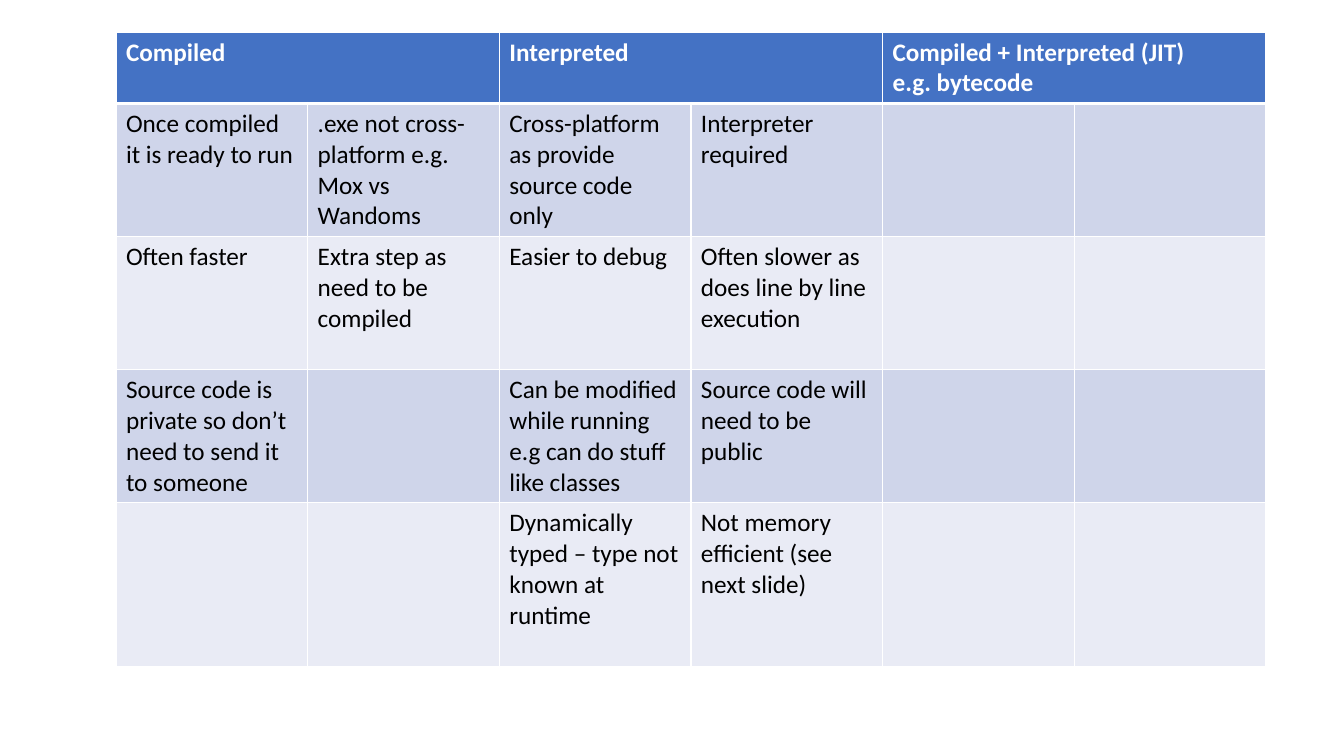
from dataclasses import dataclass
from lxml import etree
from pptx import Presentation
from pptx.dml.color import RGBColor
from pptx.oxml.ns import qn
from pptx.util import Pt

SCALE = 914400 / 100.8


@dataclass(frozen=True)
class Theme:
    """Colours, type and line widths of the slide."""
    font: str = "Calibri"
    size: int = 18
    head: str = "4472C4"
    bands: tuple = ("CFD5EA", "E9EBF5")
    light: str = "FFFFFF"
    dark: str = "000000"
    thin: int = 1
    thick: int = 3


THEME = Theme()
HEADS = [["Compiled"], ["Interpreted"],
         ["Compiled + Interpreted (JIT) ", "e.g. bytecode"]]
ROWS = [
    ["Once compiled it is ready to run",
     ".exe not cross-platform e.g. Mox vs Wandoms",
     "Cross-platform as provide source code only ",
     "Interpreter required", "", ""],
    ["Often faster", "Extra step as need to be compiled",
     "Easier to debug ",
     "Often slower as does line by line execution", "", ""],
    ["Source code is private so don’t need to send it to someone", "",
     "Can be modified while running e.g can do stuff like classes",
     "Source code will need to be public ", "", ""],
    ["", "", "Dynamically typed – type not known at runtime",
     "Not memory efficient (see next slide)", "", ""],
]
HIGHS = [71, 133, 133, 133, 164]


def px(num):
    """Turn pixels into EMU."""
    return round(num * SCALE)


def edge(cell, widths):
    """Draw the left, right, top and bottom borders of a cell."""
    props = cell._tc.get_or_add_tcPr()
    for spot, (side, width) in enumerate(zip("LRTB", widths)):
        line = etree.Element(qn(f"a:ln{side}"), w=str(Pt(width)))
        fill = etree.SubElement(line, qn("a:solidFill"))
        etree.SubElement(fill, qn("a:srgbClr"), val=THEME.light)
        props.insert(spot, line)


def paint(cell, fill, top, base):
    """Fill a cell and border it."""
    cell.fill.solid()
    cell.fill.fore_color.rgb = RGBColor.from_string(fill)
    edge(cell, (THEME.thin, THEME.thin, top, base))


def write(cell, lines, color, bold):
    """Write lines of text into a cell, one paragraph each."""
    frame = cell.text_frame
    for spot, text in enumerate(lines):
        para = frame.add_paragraph() if spot else frame.paragraphs[0]
        para.font.size = Pt(THEME.size)
        if text:
            run = para.add_run()
            run.text = text
            run.font.name = THEME.font
            run.font.size = Pt(THEME.size)
            run.font.bold = bold
            run.font.color.rgb = RGBColor.from_string(color)


def grid(slide, left, top, width, highs):
    """Place the comparison table in its box."""
    count = len(ROWS[0])
    table = slide.shapes.add_table(
        len(highs), count, px(left), px(top), px(width), px(sum(highs))).table
    for col in table.columns:
        col.width = px(width / count)
    for row, high in zip(table.rows, highs):
        row.height = px(high)
    for col in range(count):
        paint(table.cell(0, col), THEME.head, THEME.thin, THEME.thick)
    span = count // len(HEADS)
    for spot, lines in enumerate(HEADS):
        cell = table.cell(0, spot * span)
        cell.merge(table.cell(0, spot * span + span - 1))
        write(cell, lines, THEME.light, True)
    for row, texts in enumerate(ROWS, 1):
        band = THEME.bands[(row - 1) % 2]
        upper = THEME.thick if row == 1 else THEME.thin
        for col, text in enumerate(texts):
            cell = table.cell(row, col)
            paint(cell, band, upper, THEME.thin)
            write(cell, [text], THEME.dark, False)


def main():
    """Build the deck and save it."""
    deck = Presentation()
    deck.slide_width, deck.slide_height = px(1344), px(756)
    slide = deck.slides.add_slide(deck.slide_layouts[6])
    grid(slide, 116, 32, 1150, HIGHS)
    deck.save("out.pptx")


main()
